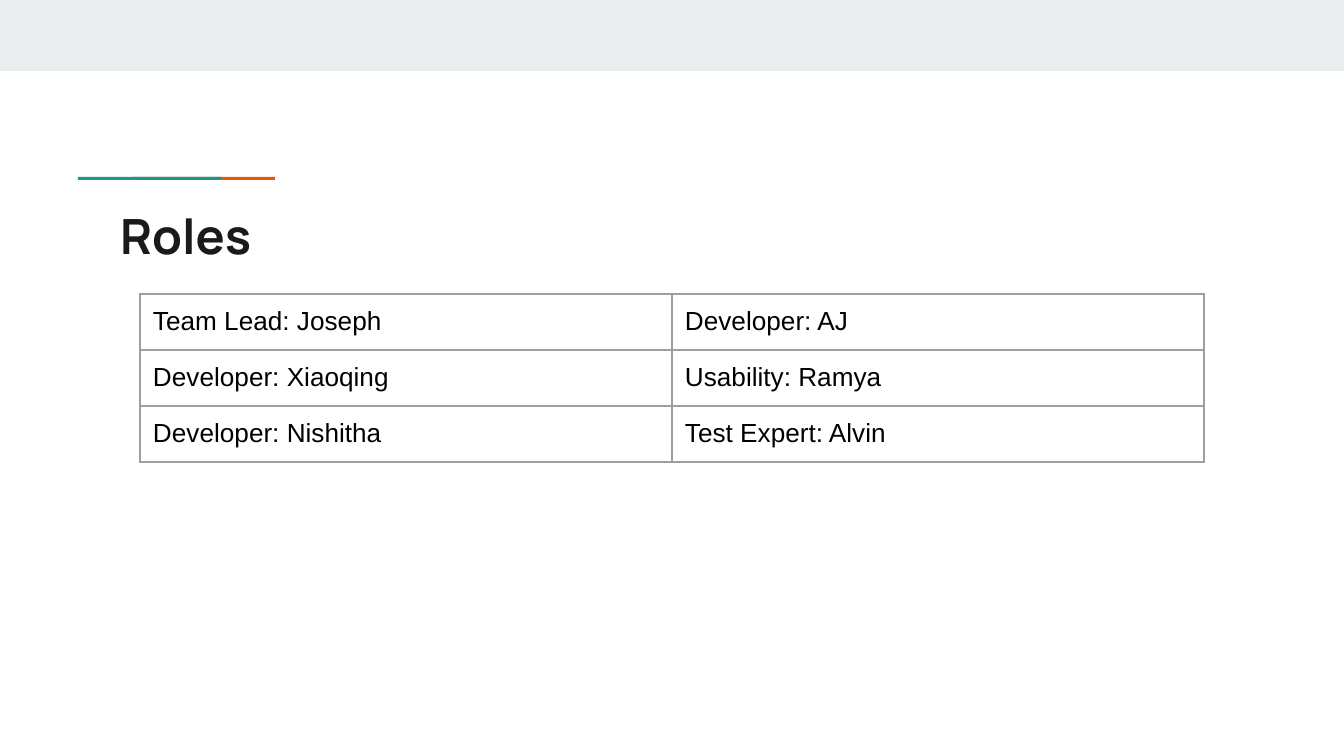
from lxml import etree
from pptx import Presentation
from pptx.dml.color import RGBColor
from pptx.enum.shapes import MSO_SHAPE
from pptx.enum.text import MSO_ANCHOR, MSO_AUTO_SIZE, PP_ALIGN
from pptx.oxml.ns import qn
from pptx.util import Emu, Pt

RECTANGLE = MSO_SHAPE.RECTANGLE
TOP = MSO_ANCHOR.TOP
LEFT = PP_ALIGN.LEFT
NO_AUTOFIT = MSO_AUTO_SIZE.NONE

BAND_GREY = RGBColor(0xE9, 0xED, 0xEE)
ORANGE = RGBColor(0xEB, 0x56, 0x00)
TEAL = RGBColor(0x1A, 0x99, 0x88)
TITLE_INK = RGBColor(0x1A, 0x1A, 0x1A)
BLACK = RGBColor(0x00, 0x00, 0x00)
BORDER_GREY = RGBColor(0x9E, 0x9E, 0x9E)

EMU_PER_PX = 914400 / 134.4
INSET = 13
ROLES = [
    ("Team Lead: Joseph", "Developer: AJ"),
    ("Developer: Xiaoqing", "Usability: Ramya"),
    ("Developer: Nishitha", "Test Expert: Alvin"),
]


def px(length):
    return Emu(round(length * EMU_PER_PX))


def add_bar(slide, left, top, width, height, color):
    bar = slide.shapes.add_shape(RECTANGLE, px(left), px(top), px(width), px(height))
    bar.shadow.inherit = False
    bar.fill.solid()
    bar.fill.fore_color.rgb = color
    bar.line.fill.background()


def set_insets(holder):
    holder.margin_left = holder.margin_right = px(INSET)
    holder.margin_top = holder.margin_bottom = px(INSET)


def set_font(paragraph, name, size, color, bold=False):
    paragraph.alignment = LEFT
    paragraph.font.name = name
    paragraph.font.size = Pt(size)
    paragraph.font.color.rgb = color
    paragraph.font.bold = bold


def set_title(slide, text, left, top, width, height):
    title = slide.shapes.title
    title.left, title.top = px(left), px(top)
    title.width, title.height = px(width), px(height)
    frame = title.text_frame
    frame.text = text
    frame.word_wrap = True
    frame.auto_size = NO_AUTOFIT
    frame.vertical_anchor = TOP
    set_insets(frame)
    set_font(frame.paragraphs[0], "Manrope", 26, TITLE_INK, bold=True)


def set_borders(cell, color, width):
    properties = cell._tc.get_or_add_tcPr()
    # Border lines must come before the fill in the cell properties
    for position, side in enumerate(("lnL", "lnR", "lnT", "lnB")):
        line = etree.Element(qn(f"a:{side}"), w=str(Pt(width)))
        fill = etree.SubElement(line, qn("a:solidFill"))
        etree.SubElement(fill, qn("a:srgbClr"), val=str(color))
        properties.insert(position, line)


def add_roles_table(slide, left, top, column_width, row_height):
    row_count, column_count = len(ROLES), len(ROLES[0])
    table = slide.shapes.add_table(
        row_count, column_count, px(left), px(top),
        px(column_width * column_count), px(row_height * row_count),
    ).table
    table.first_row = table.horz_banding = False
    for column in table.columns:
        column.width = px(column_width)
    for row, roles in zip(table.rows, ROLES):
        row.height = px(row_height)
        for cell, role in zip(row.cells, roles):
            cell.text = role
            cell.fill.background()
            cell.vertical_anchor = TOP
            set_insets(cell)
            set_font(cell.text_frame.paragraphs[0], "Arial", 14, BLACK)
            set_borders(cell, BORDER_GREY, 0.75)


def main():
    presentation = Presentation()
    presentation.slide_width, presentation.slide_height = px(1344), px(756)
    slide = presentation.slides.add_slide(presentation.slide_layouts[5])

    # Top band and two overlapping accent bars
    add_bar(slide, 0, 0, 1344, 71, BAND_GREY)
    add_bar(slide, 132, 177, 143, 3, ORANGE)
    add_bar(slide, 78, 177, 143, 3, TEAL)

    # Title and team roles
    set_title(slide, "Roles", 107, 193, 1130, 79)
    add_roles_table(slide, 140, 294, 532, 56)

    presentation.save("out.pptx")


if __name__ == "__main__":
    main()
